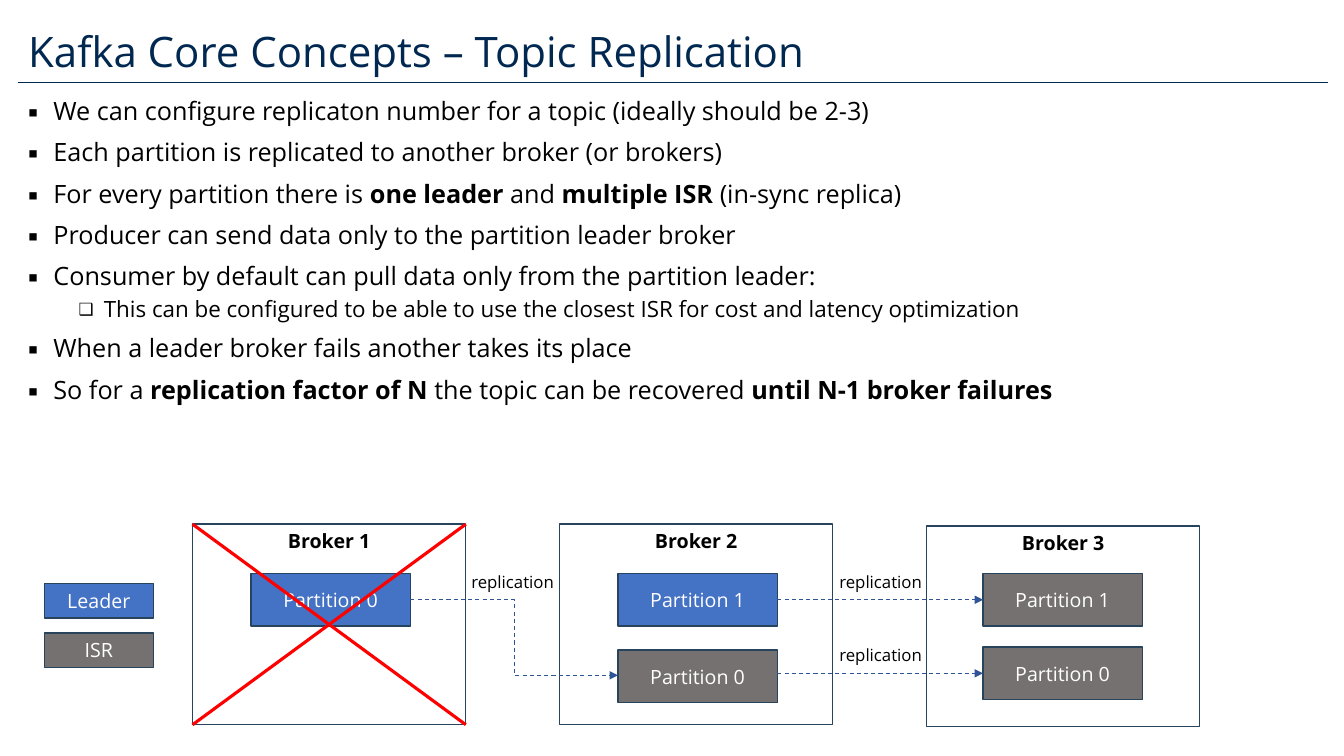
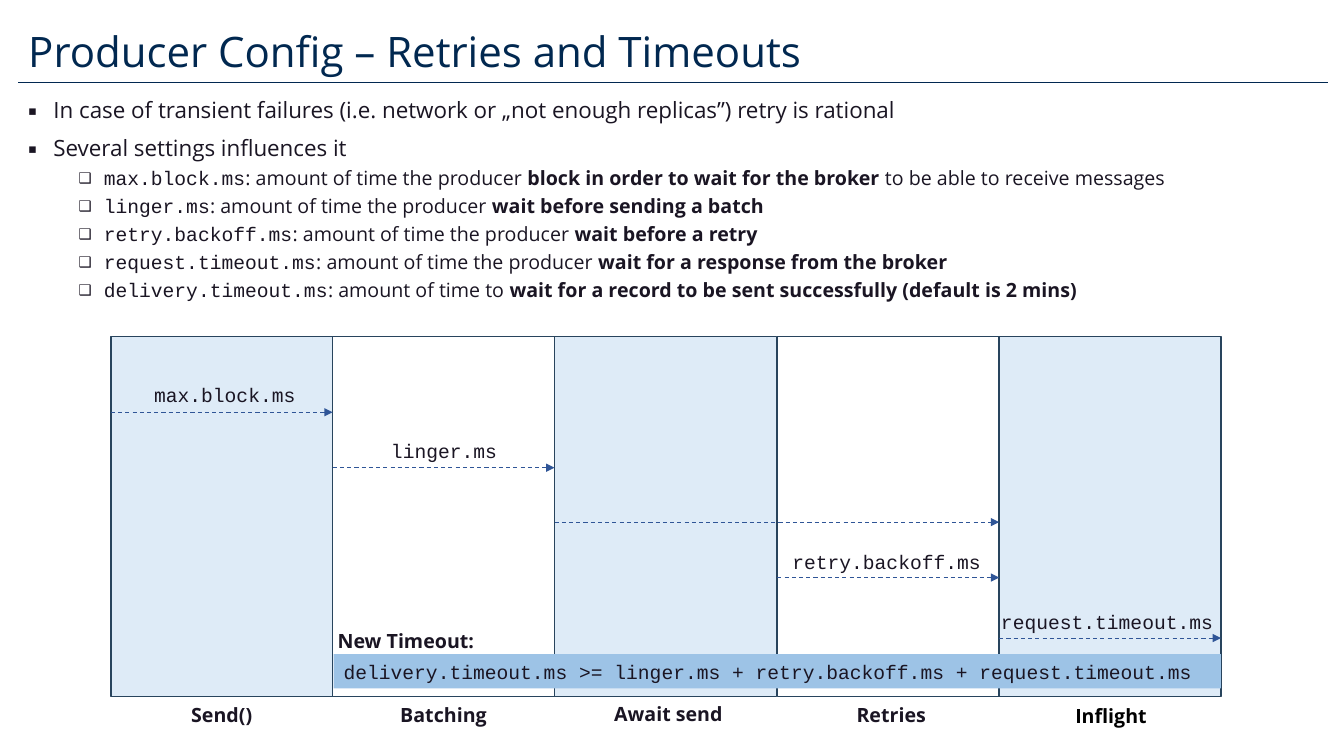
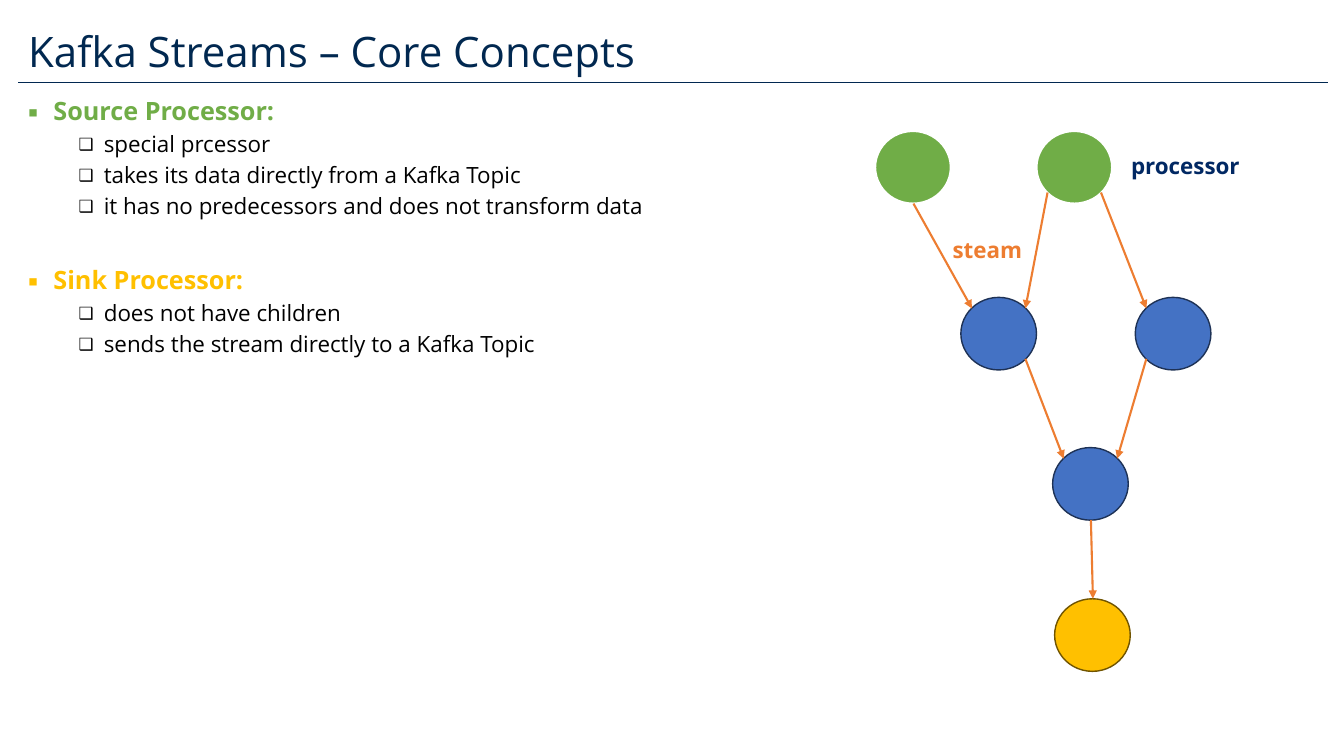
from dataclasses import dataclass

from lxml.etree import SubElement
from pptx import Presentation
from pptx.dml.color import RGBColor
from pptx.enum.dml import MSO_LINE
from pptx.enum.shapes import MSO_CONNECTOR, MSO_SHAPE
from pptx.enum.text import MSO_ANCHOR, MSO_AUTO_SIZE, PP_ALIGN
from pptx.oxml.ns import qn
from pptx.util import Emu, Pt

PX = 9144  # EMU in one px, 100 px to the inch
SANS, MONO = "Open Sans", "Courier New"
COLORS = {
    "title": "012850", "rule": "012851", "navy": "012863", "black": "000000",
    "ink": "1A1523", "white": "FFFFFF", "outline": "28445D", "blue": "4472C4",
    "gray": "767171", "arrow": "2F5597", "red": "FF0000", "pale": "DEEBF7",
    "sky": "9DC3E6", "green": "70AD47", "gold": "FFC000", "orange": "ED7D31",
    "blue edge": "1E3256", "gold edge": "705400",
}


@dataclass(frozen=True)
class Span:
    text: str
    bold: bool = False
    mono: bool = False


@dataclass(frozen=True)
class Bullet:
    spans: tuple[Span, ...]
    level: int = 0
    color: str = "black"
    bold: bool = False
    space: float | None = None


@dataclass(frozen=True)
class Box:
    left: int
    top: int
    width: int
    height: int

    def emu(self) -> tuple[Emu, ...]:
        return tuple(px(n) for n in (self.left, self.top, self.width, self.height))

    def at(self, across: float, down: float) -> tuple[int, int]:
        """Point at the given fractions of the width and height."""
        return round(self.left + across * self.width), round(self.top + down * self.height)


@dataclass(frozen=True)
class Style:
    size: int = 14
    color: str = "black"
    font: str = SANS
    bold: bool = False
    align: PP_ALIGN = PP_ALIGN.CENTER
    anchor: MSO_ANCHOR = MSO_ANCHOR.MIDDLE


@dataclass(frozen=True)
class Stage:
    name: str
    label_left: int
    label_top: int
    color: str = "ink"


TITLE_BOX = Box(18, 24, 1299, 58)
BODY_BOX = Box(18, 93, 1299, 353)
ON_DARK = Style(color="white")
HEADING = Style(bold=True, anchor=MSO_ANCHOR.TOP)
CODE = Style(color="ink", font=MONO, align=PP_ALIGN.LEFT)


def px(length: int) -> Emu:
    return Emu(length * PX)


def rgb(name: str) -> RGBColor:
    return RGBColor.from_string(COLORS[name])


def bold(text: str) -> Span:
    return Span(text, bold=True)


def item(*parts, level: int = 0, **options) -> Bullet:
    """Bullet made of plain strings and spans."""
    spans = tuple(part if isinstance(part, Span) else Span(part) for part in parts)
    return Bullet(spans, level, **options)


def set_font(font, style: Style) -> None:
    font.name, font.size, font.bold = style.font, Pt(style.size), style.bold
    font.color.rgb = rgb(style.color)


def write(shape, text: str, style: Style) -> None:
    frame = shape.text_frame
    frame.word_wrap = True
    frame.vertical_anchor = style.anchor
    para = frame.paragraphs[0]
    para.text = text
    para.alignment = style.align
    set_font(para.font, style)


def add_label(page, box: Box, text: str, style: Style) -> None:
    write(page.shapes.add_textbox(*box.emu()), text, style)


def add_box(page, box: Box, fill: str, line: str | None = "outline", width: float = 1,
            text: str = "", style: Style = ON_DARK, kind=MSO_SHAPE.RECTANGLE) -> None:
    shape = page.shapes.add_shape(kind, *box.emu())
    shape.shadow.inherit = False
    shape.fill.solid()
    shape.fill.fore_color.rgb = rgb(fill)
    if line:
        shape.line.color.rgb = rgb(line)
        shape.line.width = Pt(width)
    else:
        shape.line.fill.background()
    if text:
        write(shape, text, style)


def add_line(page, start: tuple[int, int], end: tuple[int, int], color: str = "arrow",
             width: float = 0.75, dashed: bool = False, arrow: bool = False,
             kind=MSO_CONNECTOR.STRAIGHT):
    line = page.shapes.add_connector(kind, *(px(n) for n in (*start, *end)))
    line.line.color.rgb = rgb(color)
    line.line.width = Pt(width)
    if dashed:
        line.line.dash_style = MSO_LINE.DASH
    properties = line.element.spPr
    if arrow:
        SubElement(properties.find(qn("a:ln")), qn("a:tailEnd"), type="triangle")
    SubElement(properties, qn("a:effectLst"))
    return line


def add_bullet_mark(para, level: int) -> None:
    properties = para._p.get_or_add_pPr()
    properties.set("marL", str(px(75 if level else 25)))
    properties.set("indent", str(px(-25)))
    if level:
        SubElement(properties, qn("a:buSzPct"), val="75000")
    SubElement(properties, qn("a:buFont"), typeface=SANS)
    SubElement(properties, qn("a:buChar"), char="❑" if level else "▪")


def fill_body(body, bullets: list[Bullet], size: int) -> None:
    frame = body.text_frame
    frame.auto_size = MSO_AUTO_SIZE.NONE
    for index, bullet in enumerate(bullets):
        para = frame.add_paragraph() if index else frame.paragraphs[0]
        para.level = bullet.level
        para.line_spacing = 0.9
        space = bullet.space or (5 if bullet.level else 10)
        para.space_before = Pt(space if index else 0)
        add_bullet_mark(para, bullet.level)
        set_font(para.font, Style(size - 2 * bullet.level, bullet.color, bold=bullet.bold))
        for span in bullet.spans:
            run = para.add_run()
            run.text = span.text
            if span.bold:
                run.font.bold = True
            if span.mono:
                run.font.name = MONO


def add_page(deck, title: str, bullets: list[Bullet], size: int):
    page = deck.slides.add_slide(deck.slide_layouts[1])
    heading, body = page.placeholders
    for holder, box in ((heading, TITLE_BOX), (body, BODY_BOX)):
        holder.left, holder.top, holder.width, holder.height = box.emu()
    heading.text_frame.auto_size = MSO_AUTO_SIZE.NONE
    write(heading, title, Style(30, "title", align=PP_ALIGN.LEFT))
    heading.text_frame.paragraphs[0].line_spacing = 0.9
    fill_body(body, bullets, size)
    add_line(page, (18, 82), (1317, 82), "rule", 0.5)
    return page


def add_replication_page(deck) -> None:
    page = add_page(deck, "Kafka Core Concepts – Topic Replication", [
        item("We can configure replicaton number for a topic (ideally should be 2-3)"),
        item("Each partition is replicated to another broker (or brokers)"),
        item("For every partition there is ", bold("one leader "), "and ",
             bold("multiple ISR "), "(in-sync replica)"),
        item("Producer can send data only to the partition leader broker"),
        item("Consumer by default can pull data only from the partition leader:"),
        item("This can be configured to be able to use the closest ISR for cost and "
             "latency optimization", level=1),
        item("When a leader broker fails another takes its place"),
        item("So for a ", bold("replication factor of N "), "the topic can be recovered ",
             bold("until N-1 broker failures")),
    ], 18)

    brokers = [Box(191 + 364 * i, top, 271, 199) for i, top in enumerate((520, 520, 522))]
    for number, broker in enumerate(brokers, 1):
        add_box(page, broker, "white", text=f"Broker {number}", style=HEADING)

    for left, top, number, fill in (
        (249, 569, 0, "blue"), (613, 569, 1, "blue"), (613, 645, 0, "gray"),
        (975, 569, 1, "gray"), (975, 642, 0, "gray"),
    ):
        add_box(page, Box(left, top, 158, 52), fill, text=f"Partition {number}")
    for top, text, fill in ((579, "Leader", "blue"), (628, "ISR", "gray")):
        add_box(page, Box(44, top, 108, 34), fill, text=text)

    for start, end, kind in (
        ((407, 595), (613, 670), MSO_CONNECTOR.ELBOW),
        ((771, 595), (975, 595), MSO_CONNECTOR.STRAIGHT),
        ((771, 668), (975, 668), MSO_CONNECTOR.STRAIGHT),
    ):
        add_line(page, start, end, dashed=True, arrow=True, kind=kind)
    for left, top in ((455, 562), (820, 562), (820, 635)):
        add_label(page, Box(left, top, 107, 30), "replication", Style(12))

    failed = brokers[0]
    add_line(page, failed.at(0, 0), failed.at(1, 1), "red", 2.25)
    add_line(page, failed.at(0, 1), failed.at(1, 0), "red", 2.25)


def add_timeouts_page(deck) -> None:
    settings = (
        ("max.block.ms", ": amount of time the producer ",
         "block in order to wait for the broker", " to be able to receive messages"),
        ("linger.ms", ": amount of time the producer ", "wait before sending a batch"),
        ("retry.backoff.ms", ": amount of time the producer ", "wait before a retry"),
        ("request.timeout.ms", ": amount of time the producer ",
         "wait for a response from the broker"),
        ("delivery.timeout.ms", ": amount of time to ",
         "wait for a record to be sent successfully (default is 2 mins)"),
    )
    page = add_page(deck, "Producer Config – Retries and Timeouts", [
        item("In case of transient failures (i.e. network or „not enough replicas”) "
             "retry is rational", color="ink"),
        item("Several settings influences it", color="ink"),
        *(item(Span(name, mono=True), meaning, bold(effect), *rest, level=1, color="ink")
          for name, meaning, effect, *rest in settings),
    ], 16)

    stages = (
        Stage("Send()", 110, 692), Stage("Batching", 330, 692),
        Stage("Await send", 553, 691), Stage("Retries", 774, 692),
        Stage("Inflight", 992, 693, "black"),
    )
    edges = [110 + round(220.2 * i) for i in range(len(stages) + 1)]
    for index, stage in enumerate(stages):
        add_box(page, Box(edges[index], 334, 220, 357), "white" if index % 2 else "pale")
        add_label(page, Box(stage.label_left, stage.label_top, 220, 34), stage.name,
                  Style(color=stage.color, bold=True))

    for left, right, y in (
        (edges[0], edges[1], 409), (edges[1], edges[2], 464), (edges[2], edges[4], 518),
        (edges[3], edges[4], 573), (edges[4], edges[5], 633),
    ):
        add_line(page, (left, y), (right, y), dashed=True, arrow=True)
    for left, top, width, name in (
        (143, 375, 201, "max.block.ms"), (378, 430, 167, "linger.ms"),
        (776, 540, 259, "retry.backoff.ms"), (983, 600, 240, "request.timeout.ms"),
    ):
        add_label(page, Box(left, top, width, 34), name, CODE)

    add_box(page, Box(331, 649, 880, 34), "sky", None, style=CODE,
            text="delivery.timeout.ms >= linger.ms + retry.backoff.ms + request.timeout.ms")
    add_label(page, Box(325, 619, 167, 34), "New Timeout:",
              Style(color="ink", bold=True, align=PP_ALIGN.LEFT))


def add_streams_page(deck) -> None:
    page = add_page(deck, "Kafka Streams – Core Concepts", [
        item("Source Processor:", color="green", bold=True),
        item("special prcessor", level=1),
        item("takes its data directly from a Kafka Topic", level=1),
        item("it has no predecessors and does not transform data", level=1),
        item("Sink Processor:", color="gold", bold=True, space=34.6),
        item("does not have children", level=1),
        item("sends the stream directly to a Kafka Topic", level=1),
    ], 18)

    first_source, second_source, left_node, right_node, merge, sink = (
        Box(left, top, 75, 72) for left, top in
        ((868, 130), (1028, 130), (953, 295), (1126, 295), (1044, 444), (1046, 594))
    )
    for nodes, fill, line, width in (
        ((first_source, second_source), "green", "white", 1.5),
        ((left_node, right_node, merge), "blue", "blue edge", 1),
        ((sink,), "gold", "gold edge", 1),
    ):
        for node in nodes:
            add_box(page, node, fill, line, width, kind=MSO_SHAPE.OVAL)

    near, far = 0.15, 0.85  # where a diagonal meets the circle
    for start, end in (
        (first_source.at(0.5, 1), left_node.at(near, near)),
        (second_source.at(near, far), left_node.at(far, near)),
        (second_source.at(far, far), right_node.at(near, near)),
        (left_node.at(far, far), merge.at(near, near)),
        (right_node.at(near, far), merge.at(far, near)),
        (merge.at(0.5, 1), sink.at(0.5, 0)),
    ):
        add_line(page, start, end, "orange", 1.5, arrow=True)

    for left, top, width, text, color in (
        (935, 229, 99, "steam", "orange"), (1112, 146, 139, "processor", "navy"),
    ):
        add_label(page, Box(left, top, width, 37), text,
                  Style(16, color, bold=True, align=PP_ALIGN.LEFT))


def main() -> None:
    deck = Presentation()
    deck.slide_width, deck.slide_height = px(1333), px(750)
    add_replication_page(deck)
    add_timeouts_page(deck)
    add_streams_page(deck)
    deck.save("out.pptx")


if __name__ == "__main__":
    main()
